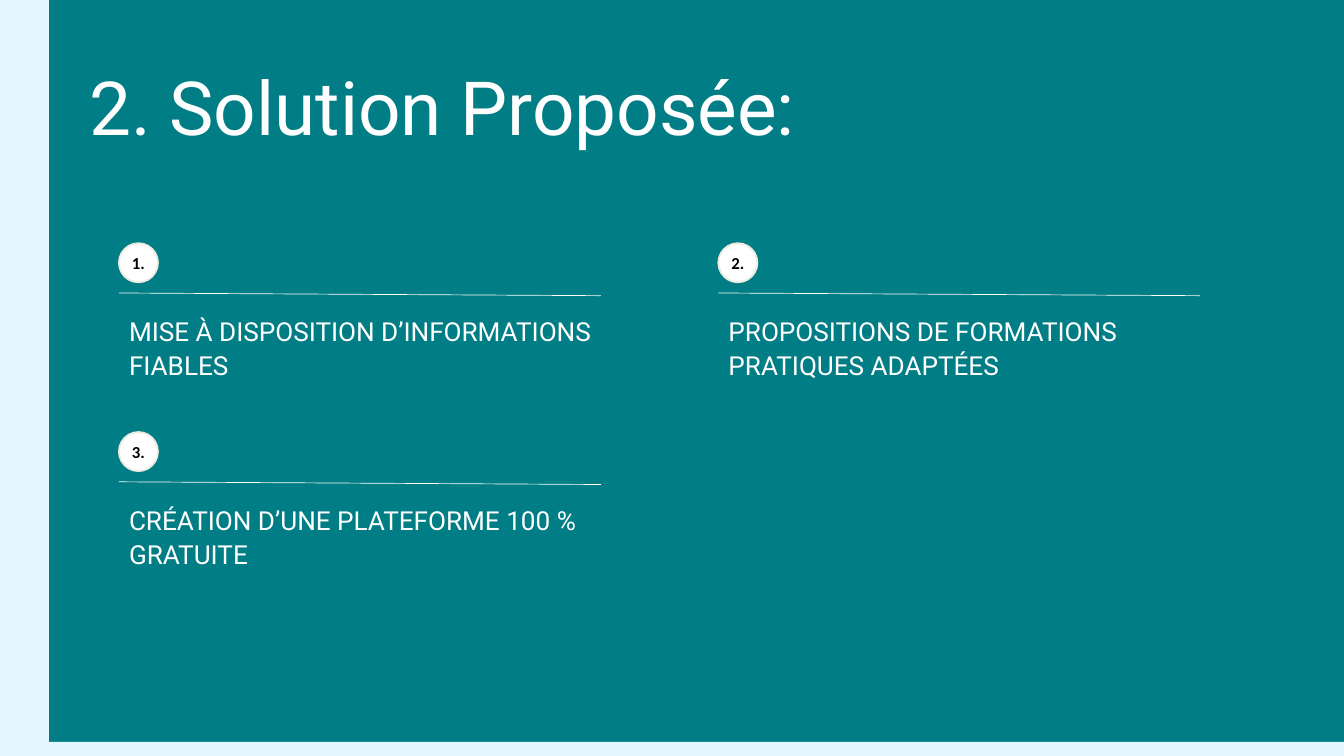
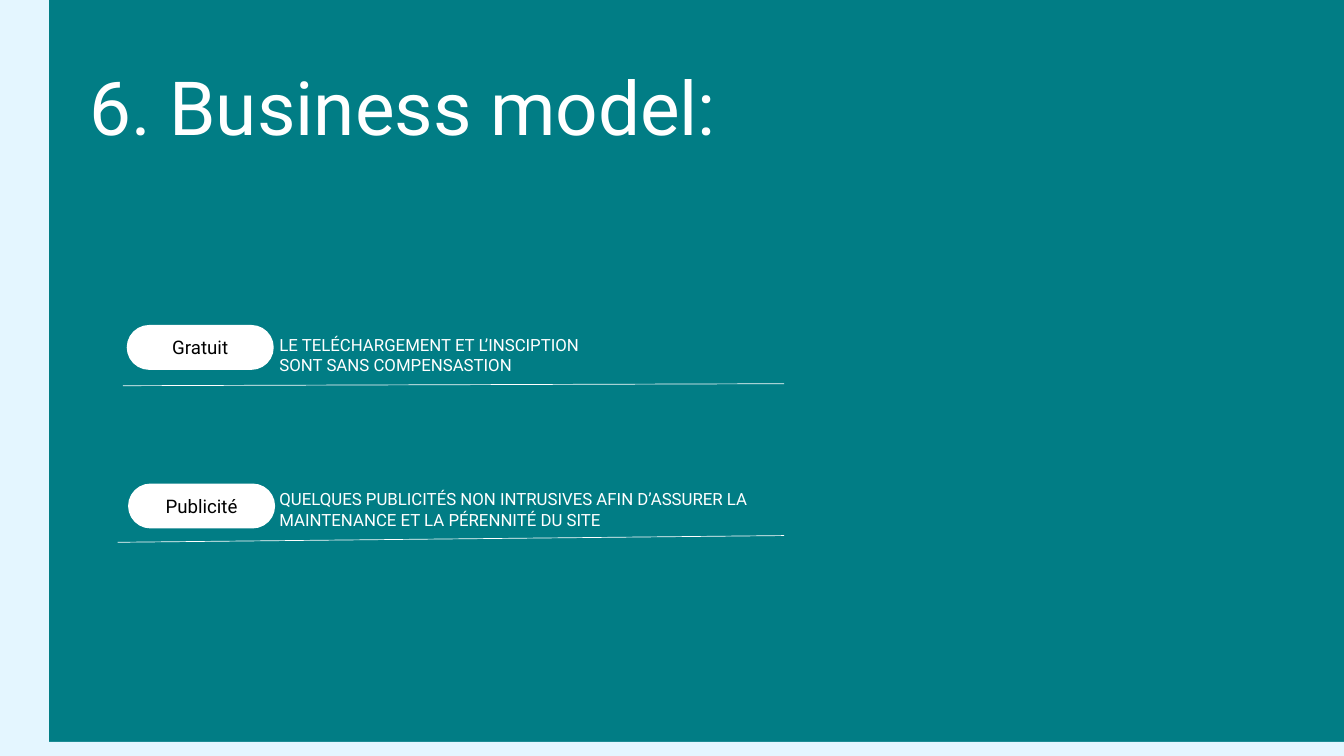
from pptx import Presentation
from pptx.dml.color import RGBColor as Rgb
from pptx.enum.shapes import MSO_CONNECTOR as Link, MSO_SHAPE as Kind
from pptx.enum.text import MSO_ANCHOR as Anchor, MSO_AUTO_SIZE as Fit, PP_ALIGN as Align
from pptx.oxml.ns import qn
from pptx.util import Inches, Pt
from lxml import etree

WIDE, HIGH = 20, 11.25
SIDE, FOOT = 0.73, 0.21
COLORS = {
    "back": "017D85",
    "band": "E4F6FF",
    "white": "FFFFFF",
    "black": "000000",
    "rim": "EEECE1",
}
LEFT, TOP = 1.77, 3.62
COL, ROW = 8.92, 2.81
STEPS = [
    "MISE À DISPOSITION D’INFORMATIONS FIABLES",
    "PROPOSITIONS DE FORMATIONS PRATIQUES ADAPTÉES",
    "CRÉATION D’UNE PLATEFORME 100 % GRATUITE",
]


def color(name):
    return Rgb.from_string(COLORS[name])


def box(left, top, width, height):
    return [Inches(n) for n in (left, top, width, height)]


def write(frame, text, size, ink="white", face="Roboto", bold=False,
          align=Align.LEFT, lead=None, anchor=Anchor.TOP, inset=None):
    frame.word_wrap = True
    frame.auto_size = Fit.NONE
    frame.vertical_anchor = anchor
    if inset is not None:
        frame.margin_left = frame.margin_right = Inches(inset)
        frame.margin_top = frame.margin_bottom = Inches(inset)
    frame.text = text
    line = frame.paragraphs[0]
    line.alignment = align
    if lead:
        line.line_spacing = Pt(lead)
    font = line.font
    font.name, font.size, font.bold = face, Pt(size), bold
    font.color.rgb = color(ink)


def add_shape(slide, kind, place, fill, rim=None):
    shape = slide.shapes.add_shape(kind, *box(*place))
    shape.shadow.inherit = False
    shape.fill.solid()
    shape.fill.fore_color.rgb = color(fill)
    if rim:
        shape.line.color.rgb = color(rim)
        shape.line.width = Pt(2)
    else:
        shape.line.fill.background()
    return shape


def add_text(slide, place, text, size, **style):
    area = slide.shapes.add_textbox(*box(*place))
    write(area.text_frame, text, size, **style)


def add_rule(slide, *ends):
    rule = slide.shapes.add_connector(Link.STRAIGHT, *box(*ends))
    rule.line.color.rgb = color("white")
    rule.line.width = Pt(0.75)
    etree.SubElement(rule._element.spPr, qn("a:effectLst"))


def add_slide(deck, title):
    slide = deck.slides.add_slide(deck.slide_layouts[5])
    head = slide.shapes.title
    head.left, head.top, head.width, head.height = box(1.33, 1.02, 14.19, 1.23)
    write(head.text_frame, title, 80, lead=88, inset=0)
    add_shape(slide, Kind.RECTANGLE, (0, HIGH - FOOT, WIDE, FOOT), "band")
    add_shape(slide, Kind.RECTANGLE, (0, 0, SIDE, HIGH), "band")
    return slide


def add_step(slide, index, text):
    row, col = divmod(index, 2)
    left, top = LEFT + col * COL, TOP + row * ROW
    add_rule(slide, left, top + 0.74, left + 7.17, top + 0.78)
    dot = add_shape(slide, Kind.OVAL, (left, top, 0.58, 0.58), "white", "rim")
    write(dot.text_frame, f"{index + 1}.", 18, ink="black", face="Calibri",
          bold=True, align=Align.CENTER, anchor=Anchor.MIDDLE)
    add_text(slide, (left + 0.15, top + 1.03, 7.53, 0.99), text, 28,
             lead=36.4, inset=0)


def add_offer(slide, name, text, pill, note, width, rule):
    add_rule(slide, *rule)
    shape = add_shape(slide, Kind.ROUNDED_RECTANGLE, (*pill, 2.16, 0.64),
                      "white", "white")
    shape.adjustments[0] = 0.5
    write(shape.text_frame, name, 20, ink="black", align=Align.CENTER,
          anchor=Anchor.MIDDLE)
    add_text(slide, (4.06, note, width, 0.71), text, 18)


def main():
    deck = Presentation()
    deck.slide_width, deck.slide_height = Inches(WIDE), Inches(HIGH)
    fill = deck.slide_master.background.fill
    fill.solid()
    fill.fore_color.rgb = color("back")

    slide = add_slide(deck, "2. Solution Proposée:")
    for index, text in enumerate(STEPS):
        add_step(slide, index, text)

    slide = add_slide(deck, "6. Business model:")
    add_offer(slide, "Gratuit",
              "LE TELÉCHARGEMENT ET L’INSCIPTION SONT SANS COMPENSASTION",
              (1.9, 4.85), 4.93, 5.13, (1.83, 5.74, 11.67, 5.71))
    add_offer(slide, "Publicité",
              "QUELQUES PUBLICITÉS NON INTRUSIVES AFIN D’ASSURER LA "
              "MAINTENANCE ET LA PÉRENNITÉ DU SITE",
              (1.92, 7.21), 7.23, 7.36, (1.75, 8.07, 11.67, 7.97))

    deck.save("out.pptx")


if __name__ == "__main__":
    main()
